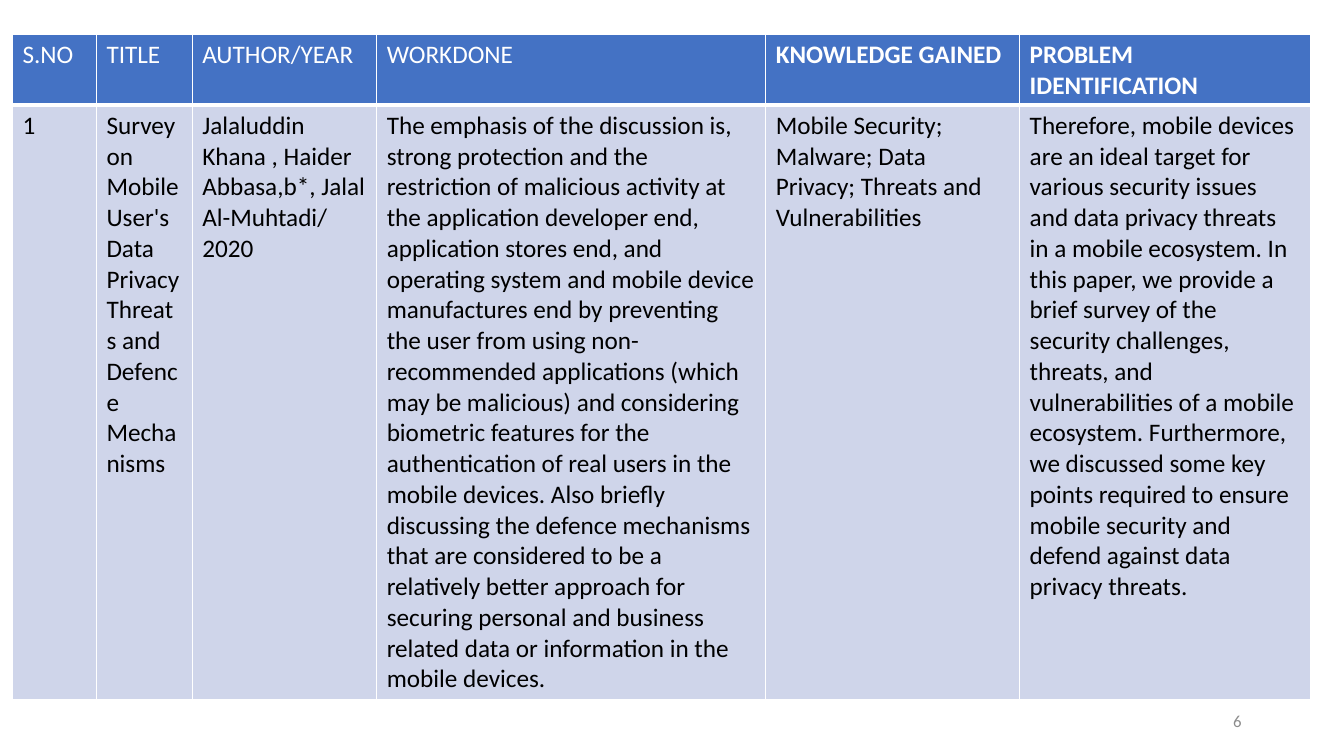
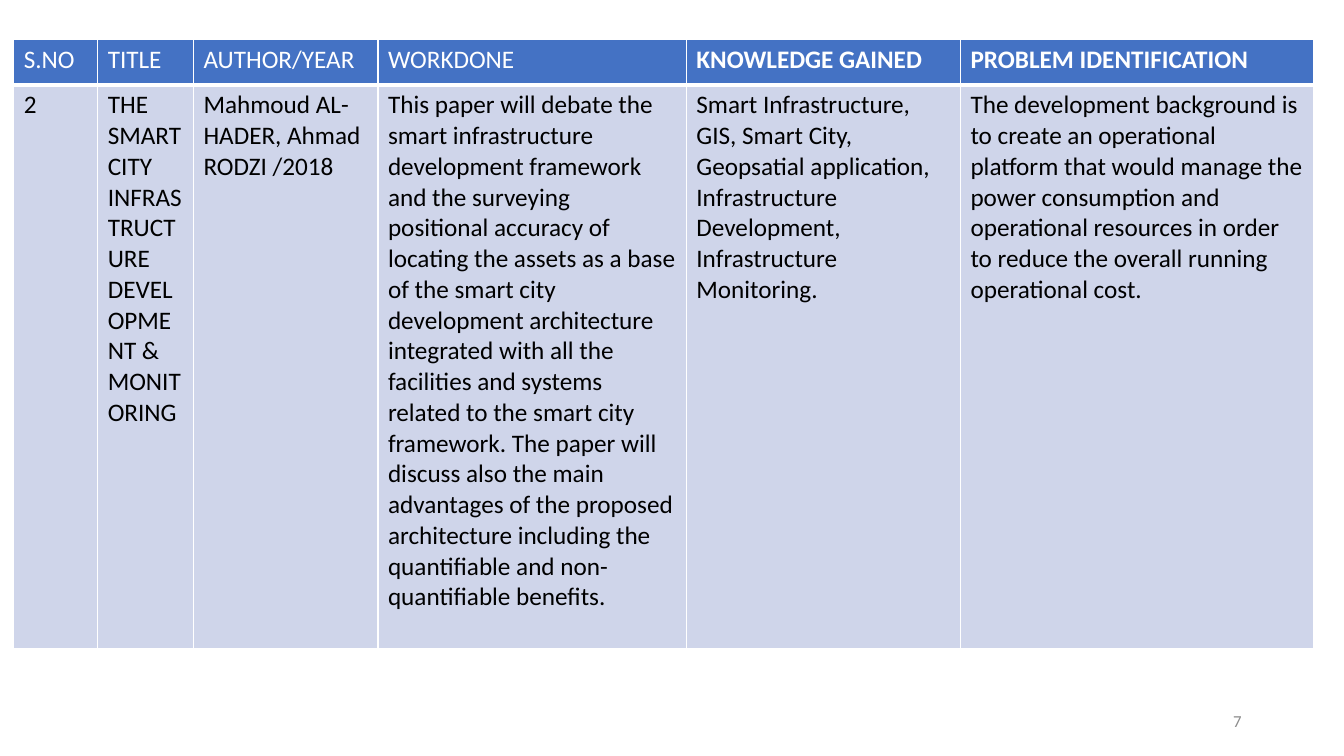
from lxml.etree import SubElement
from pptx import Presentation
from pptx.dml.color import RGBColor as Color
from pptx.enum.text import MSO_ANCHOR as Anchor, PP_ALIGN as Align
from pptx.oxml.ns import qn
from pptx.util import Pt

BLUE = RGB_HEAD = Color(0x44, 0x72, 0xC4)
PALE = Color(0xCF, 0xD5, 0xEA)
GRAY = Color(0x8C, 0x8C, 0x8C)
WHITE = Color(0xFF, 0xFF, 0xFF)
BLACK = Color(0, 0, 0)
FONT = "Calibri"

HEADS = ["S.NO", "TITLE", "AUTHOR/YEAR", "WORKDONE",
         "KNOWLEDGE GAINED", "PROBLEM IDENTIFICATION"]
BOLD_FROM = 4
LEAD_COLS = [60, 68.4, 131.8]

PAPERS = [
    {
        "page": "6",
        "spot": (8.9, 24.8),
        "cols": [277.9, 181.4, 208.1],
        "rows": [50.4, 424.8],
        "cells": [
            "1",
            "Survey on Mobile User's Data Privacy Threats and Defence "
            "Mechanisms",
            "Jalaluddin Khana , Haider Abbasa,b*, Jalal Al-Muhtadi/ 2020",
            "The emphasis of the discussion is, strong protection and the "
            "restriction of malicious activity at the application developer "
            "end, application stores end, and operating system and mobile "
            "device manufactures end by preventing the user from using "
            "non-recommended applications (which may be malicious) and "
            "considering biometric features for the authentication of real "
            "users in the mobile devices. Also briefly discussing the defence "
            "mechanisms that are considered to be a relatively better "
            "approach for securing personal and business related data or "
            "information in the mobile devices.",
            "Mobile Security; Malware; Data Privacy; Threats and "
            "Vulnerabilities",
            "Therefore, mobile devices are an ideal target for various "
            "security issues and data privacy threats in a mobile ecosystem. "
            "In this paper, we provide a brief survey of the security "
            "challenges, threats, and vulnerabilities of a mobile ecosystem. "
            "Furthermore, we discussed some key points required to ensure "
            "mobile security and defend against data privacy threats.",
        ],
    },
    {
        "page": "7",
        "spot": (9.8, 28.4),
        "cols": [220.3, 195.8, 252],
        "rows": [32.2, 402.8],
        "cells": [
            "2",
            "THE SMART CITY INFRASTRUCTURE DEVELOPMENT & MONITORING",
            "Mahmoud AL-HADER, Ahmad RODZI /2018",
            "This paper will debate the smart infrastructure development "
            "framework and the surveying positional accuracy of locating the "
            "assets as a base of the smart city development architecture "
            "integrated with all the facilities and systems related to the "
            "smart city framework. The paper will discuss also the main "
            "advantages of the proposed architecture including the "
            "quantifiable and non-quantifiable benefits.",
            "Smart Infrastructure, GIS, Smart City, Geopsatial application, "
            "Infrastructure Development, Infrastructure Monitoring.",
            "The development background is to create an operational platform "
            "that would manage the power consumption and operational "
            "resources in order to reduce the overall running operational "
            "cost.",
        ],
    },
]


def write(frame, text, color, **form):
    """Put text in the frame's first paragraph and return that paragraph."""
    para = frame.paragraphs[0]
    run = para.add_run()
    run.text = text
    run.font.color.rgb = color
    for name, value in {"name": FONT, **form}.items():
        setattr(run.font, name, value)
    return para


def edge(cell, base):
    """Draw white borders, 1 pt wide except for the given bottom width."""
    props = cell._tc.get_or_add_tcPr()
    for side, width in {"L": 1, "R": 1, "T": 1, "B": base}.items():
        line = SubElement(props, qn("a:ln" + side), w=str(Pt(width)))
        fill = SubElement(line, qn("a:solidFill"))
        SubElement(fill, qn("a:srgbClr"), val=str(WHITE))


def add_grid(slide, paper):
    cols, rows = LEAD_COLS + paper["cols"], paper["rows"]
    box = [*paper["spot"], sum(cols), sum(rows)]
    grid = slide.shapes.add_table(len(rows), len(cols), *map(Pt, box)).table
    for col, width in zip(grid.columns, cols):
        col.width = Pt(width)
    for row, height in zip(grid.rows, rows):
        row.height = Pt(height)
    looks = [(HEADS, BLUE, WHITE, 3), (paper["cells"], PALE, BLACK, 1)]
    for r, (texts, back, ink, base) in enumerate(looks):
        for c, text in enumerate(texts):
            cell = grid.cell(r, c)
            edge(cell, base)
            cell.fill.solid()
            cell.fill.fore_color.rgb = back
            write(cell.text_frame, text, ink, size=Pt(18),
                  bold=r == 0 and c >= BOLD_FROM)


def add_page(slide, page):
    box = slide.shapes.add_textbox(Pt(678), Pt(500.5), Pt(216), Pt(28.75))
    frame = box.text_frame
    frame.word_wrap = True
    frame.vertical_anchor = Anchor.MIDDLE
    write(frame, page, GRAY, size=Pt(12)).alignment = Align.RIGHT


def main():
    deck = Presentation()
    deck.slide_width, deck.slide_height = Pt(960), Pt(540)
    for paper in PAPERS:
        slide = deck.slides.add_slide(deck.slide_layouts[6])
        add_page(slide, paper["page"])
        add_grid(slide, paper)
    deck.save("out.pptx")


if __name__ == "__main__":
    main()
